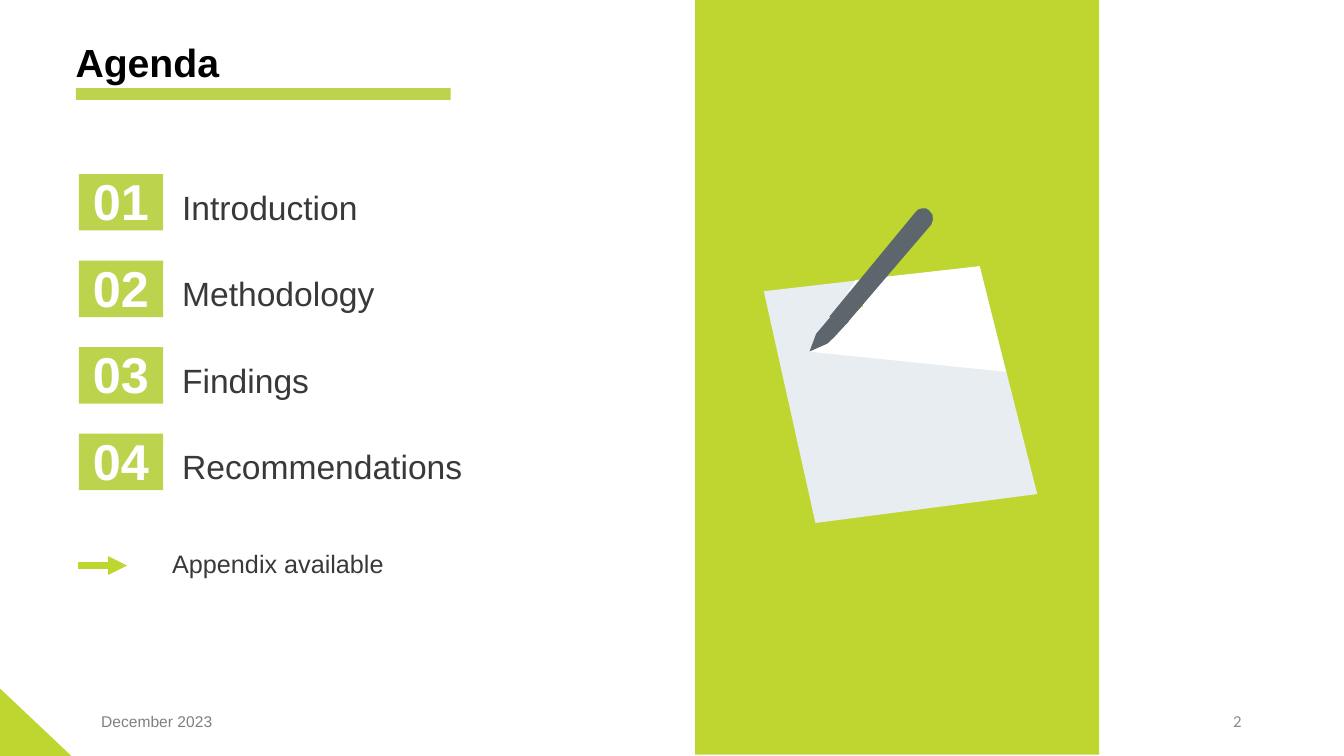
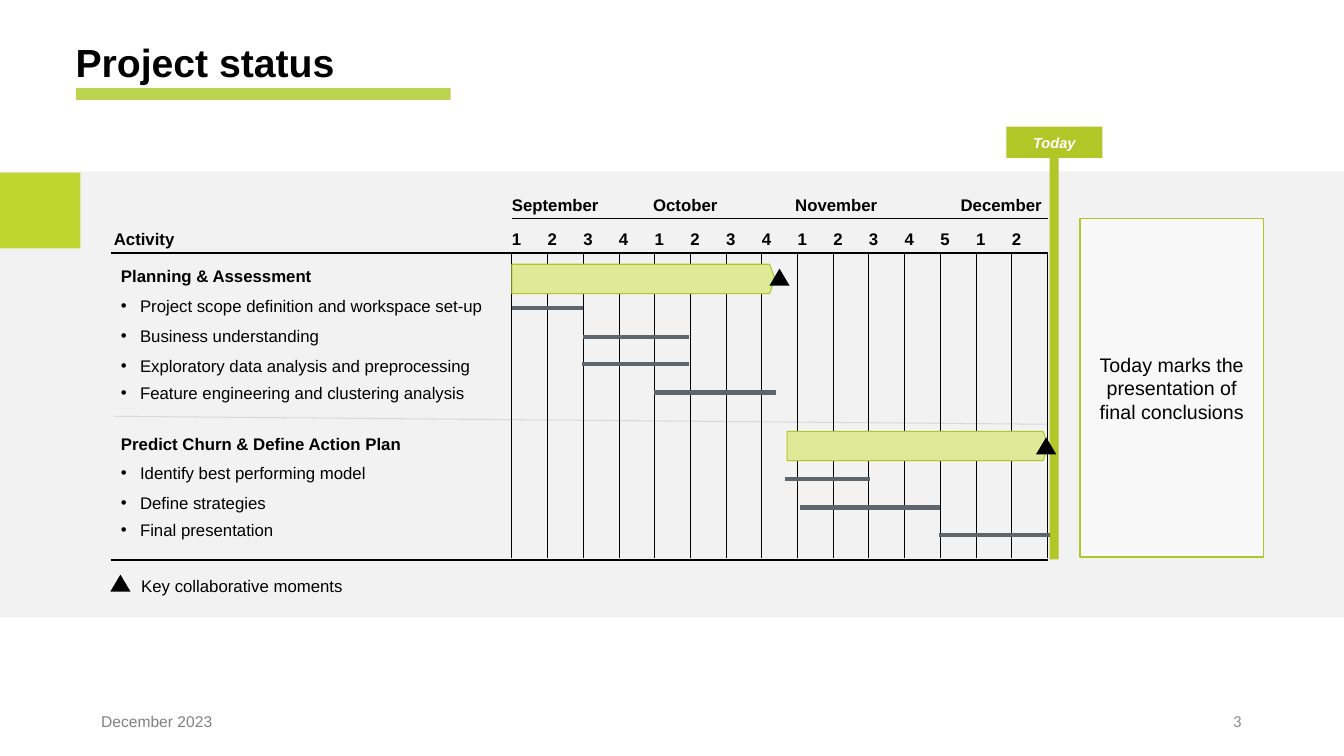
"""Build the agenda and project status slides."""
from dataclasses import dataclass
from typing import NamedTuple, Optional

from lxml import etree
from pptx import Presentation
from pptx.dml.color import RGBColor
from pptx.enum.shapes import MSO_CONNECTOR, MSO_SHAPE
from pptx.enum.text import MSO_ANCHOR, MSO_AUTO_SIZE, PP_ALIGN
from pptx.oxml.ns import qn
from pptx.util import Cm, Pt

WHITE = RGBColor(0xFF, 0xFF, 0xFF)
BLACK = RGBColor(0x00, 0x00, 0x00)
LIME = RGBColor(0xBE, 0xD6, 0x2F)
LEAF = RGBColor(0xBB, 0xD3, 0x4D)
MOSS = RGBColor(0xB0, 0xC7, 0x27)
PALE = RGBColor(0xDE, 0xEA, 0x97)
DEEP = RGBColor(0x76, 0x86, 0x14)
BRIGHT = RGBColor(0xC7, 0xE3, 0x22)
INK = RGBColor(0x3B, 0x38, 0x38)
SLATE = RGBColor(0x5C, 0x66, 0x6C)
PAPER = RGBColor(0xE7, 0xED, 0xF0)
BAND = RGBColor(0xF2, 0xF2, 0xF2)
RULE = RGBColor(0xD9, 0xD9, 0xD9)
GREY = RGBColor(0x80, 0x80, 0x80)
FAINT = RGBColor(0x8C, 0x8C, 0x8C)

RECT = MSO_SHAPE.RECTANGLE
CORNER = MSO_SHAPE.RIGHT_TRIANGLE
PLATE = MSO_SHAPE.PENTAGON
PEAK = MSO_SHAPE.FLOWCHART_EXTRACT
STRAIGHT = MSO_CONNECTOR.STRAIGHT
TOP, MIDDLE = MSO_ANCHOR.TOP, MSO_ANCHOR.MIDDLE
LEFT, CENTER, RIGHT = PP_ALIGN.LEFT, PP_ALIGN.CENTER, PP_ALIGN.RIGHT
FIXED = MSO_AUTO_SIZE.NONE

GRID_LEFT, WEEK, WEEKS = 12.9, 0.9, 15
GRID_TOP, GRID_END = 6.38, 14.05
GRID_RIGHT = GRID_LEFT + WEEK * WEEKS


class Box(NamedTuple):
    """Place and size in centimetres."""
    left: float
    top: float
    wide: float
    high: float


@dataclass(frozen=True)
class Look:
    """Style of one run of text and its box."""
    size: float = 12
    color: RGBColor = BLACK
    bold: bool = False
    slant: bool = False
    font: str = "Arial"
    align: PP_ALIGN = LEFT
    anchor: MSO_ANCHOR = TOP
    inset: Optional[float] = 0


@dataclass(frozen=True)
class Patch:
    """A filled outline of straight edges."""
    color: Optional[RGBColor]
    points: tuple


@dataclass(frozen=True)
class Month:
    """A month with its heading place and number of weeks."""
    name: str
    left: float
    weeks: int


@dataclass(frozen=True)
class Task:
    """A listed task and its bar."""
    name: str
    top: float
    start: float
    end: float
    level: float


@dataclass(frozen=True)
class Phase:
    """A project phase with its plate, key moment and tasks."""
    name: str
    top: float
    plate: Box
    mark: tuple
    tasks: tuple


PLAIN = Look()
BOLD = Look(bold=True)
HEAD = Look(bold=True, anchor=MIDDLE)
TITLE = Look(28, bold=True, anchor=MIDDLE, inset=None)
DATE = Look(11.1, GREY, anchor=MIDDLE, inset=None)
PAGE = Look(12, FAINT, font="Calibri", align=RIGHT, anchor=MIDDLE, inset=None)
COUNT = Look(36, WHITE, bold=True, align=CENTER, anchor=MIDDLE)
TOPIC = Look(24, INK, anchor=MIDDLE)
ASIDE = Look(18, INK, inset=None)
FLAG = Look(10.5, WHITE, True, True, align=CENTER, anchor=MIDDLE, inset=None)
NOTE = Look(14, align=CENTER, anchor=MIDDLE, inset=None)

TOPICS = ("Introduction", "Methodology", "Findings", "Recommendations")

SKETCH = (
    Patch(PAPER, ((19.25, 7.34), (24.69, 6.71), (26.14, 12.45), (20.55, 13.18))),
    Patch(WHITE, ((20.37, 8.86), (25.35, 9.37), (24.69, 6.71), (21.56, 7.06))),
    Patch(PAPER, ((21.74, 7.7), (21.31, 8.05), (21.03, 8.03), (20.83, 7.9),
                  (21.41, 7.34), (21.67, 7.62))),
    Patch(None, ((21.74, 7.7), (21.31, 8.05), (21.03, 8.03), (21.06, 7.95),
                 (21.67, 7.62))),
    Patch(SLATE, ((20.4, 8.86), (20.57, 8.41), (20.96, 7.95), (21.03, 7.98),
                  (21.39, 8.1), (21.01, 8.51), (20.85, 8.66))),
    Patch(SLATE, ((20.9, 7.98), (23.06, 5.36), (23.14, 5.28), (23.24, 5.25),
                  (23.34, 5.25), (23.42, 5.31), (23.5, 5.41), (23.51, 5.54),
                  (23.47, 5.66), (21.34, 8.15))),
)

MONTHS = (
    Month("September", 12.9, 4),
    Month("October", 16.46, 4),
    Month("November", 20.04, 5),
    Month("December", 24.21, 2),
)

PHASES = (
    Phase("Planning & Assessment", 6.7, Box(12.9, 6.66, 6.63, 0.74), (19.39, 6.77), (
        Task("Project scope definition and workspace set-up", 7.45, 12.9, 14.68, 7.77),
        Task("Business understanding", 8.2, 14.68, 17.37, 8.49),
        Task("Exploratory data analysis and preprocessing", 8.97, 14.67, 17.37, 9.17),
        Task("Feature engineering and clustering analysis", 9.64, 16.48, 19.56, 9.89),
    )),
    Phase("Predict Churn & Define Action Plan", 10.92, Box(19.84, 10.87, 6.58, 0.74),
          (26.11, 11.02), (
        Task("Identify best performing model", 11.66, 19.79, 21.92, 12.07),
        Task("Define strategies", 12.41, 20.17, 23.7, 12.79),
        Task("Final presentation", 13.1, 23.67, 26.47, 13.49),
    )),
)


def area(box: tuple) -> list:
    """Turn a box or point into lengths."""
    return [Cm(side) for side in box]


def write(shape, words: str, look: Look, bullet: bool = False):
    """Put one styled run into a shape."""
    frame = shape.text_frame
    frame.word_wrap = True
    frame.auto_size = FIXED
    frame.vertical_anchor = look.anchor
    if look.inset is not None:
        frame.margin_left = frame.margin_right = Cm(look.inset)
        frame.margin_top = frame.margin_bottom = Cm(look.inset)
    para = frame.paragraphs[0]
    para.alignment = look.align
    if bullet:
        props = para._p.get_or_add_pPr()
        props.set("marL", str(Cm(0.48)))
        props.set("indent", str(Cm(-0.48)))
        etree.SubElement(props, qn("a:buFont")).set("typeface", look.font)
        etree.SubElement(props, qn("a:buChar")).set("char", "•")
    run = para.add_run()
    run.text = words
    font = run.font
    font.name, font.size = look.font, Pt(look.size)
    font.bold, font.italic = look.bold, look.slant
    font.color.rgb = look.color
    return para


def label(slide, box: Box, words: str, look: Look, bullet: bool = False) -> None:
    """Add a text box."""
    write(slide.shapes.add_textbox(*area(box)), words, look, bullet)


def paint(shape, color: RGBColor, edge: Optional[RGBColor] = None,
          width: float = 0.75) -> None:
    """Give a shape its fill and line, with no shadow."""
    shape.shadow.inherit = False
    shape.fill.solid()
    shape.fill.fore_color.rgb = color
    if edge is None:
        shape.line.fill.background()
    else:
        shape.line.color.rgb = edge
        shape.line.width = Pt(width)


def block(slide, kind: MSO_SHAPE, box: Box, color: RGBColor,
          edge: Optional[RGBColor] = None, width: float = 0.75):
    """Add a preset shape."""
    shape = slide.shapes.add_shape(kind, *area(box))
    paint(shape, color, edge, width)
    return shape


def stroke(slide, start: tuple, end: tuple, color: RGBColor = BLACK,
           width: float = 0.75, arrow: bool = False) -> None:
    """Add a straight line, with an arrowhead if asked."""
    line = slide.shapes.add_connector(STRAIGHT, *area(start + end))
    line.line.color.rgb = color
    line.line.width = Pt(width)
    if arrow:
        tip = etree.SubElement(line.line._get_or_add_ln(), qn("a:tailEnd"))
        tip.set("type", "triangle")
    etree.SubElement(line._element.spPr, qn("a:effectLst"))


def trace(slide, patch: Patch) -> None:
    """Draw a patch; one with no colour gets the green shade."""
    first, *rest = [area(point) for point in patch.points]
    pen = slide.shapes.build_freeform(*first)
    pen.add_line_segments(rest, close=True)
    shape = pen.convert_to_shape()
    paint(shape, patch.color or DEEP)
    if patch.color is None:
        shape.fill.gradient()
        shape.fill.gradient_angle = 45
        for stop, color in zip(shape.fill.gradient_stops, (DEEP, BRIGHT)):
            stop.color.rgb = color


def start(deck, title: str, page: int):
    """Add a slide with the shared title, rule and footer."""
    slide = deck.slides.add_slide(deck.slide_layouts[5])
    head = slide.shapes.title
    head.left, head.top, head.width, head.height = area(Box(1.65, 0.43, 30.15, 2.41))
    write(head, title, TITLE).line_spacing = 0.9
    block(slide, RECT, Box(1.91, 2.22, 9.45, 0.3), LEAF)
    label(slide, Box(2.3, 17.67, 3.6, 1.02), "December 2023", DATE)
    label(slide, Box(23.92, 17.65, 7.62, 1.02), str(page), PAGE)
    return slide


def agenda(deck) -> None:
    """Build the agenda slide."""
    slide = start(deck, "Agenda", 2)
    block(slide, RECT, Box(17.52, 0, 10.18, 19.02), LIME)
    block(slide, CORNER, Box(0, 17.35, 1.8, 1.7), LIME)
    for patch in SKETCH:
        trace(slide, patch)
    for row, topic in enumerate(TOPICS):
        top = 4.39 + 2.18 * row
        tile = block(slide, RECT, Box(1.99, top, 2.12, 1.42), LEAF)
        write(tile, f"{row + 1:02}", COUNT)
        tile.text_frame.margin_bottom = Cm(0.1)
        label(slide, Box(4.59, top + 0.11, 10, 1.43), topic, TOPIC)
    label(slide, Box(4.09, 13.69, 9.42, 1.02), "Appendix available", ASIDE)
    stroke(slide, (1.97, 14.25), (3.2, 14.25), LIME, 4.5, arrow=True)


def mark(slide, left: float, top: float) -> None:
    """Add the sign of a key moment."""
    block(slide, PEAK, Box(left, top, 0.51, 0.43), BLACK)


def grid(slide) -> None:
    """Draw the months, weeks and rules."""
    label(slide, Box(2.87, 5.77, 3, 0.51), "Activity", BOLD)
    column = 0
    for month in MONTHS:
        label(slide, Box(month.left, 4.83, 2.69, 0.66), month.name, HEAD)
        for week in range(month.weeks):
            left = GRID_LEFT + WEEK * column
            label(slide, Box(left, 5.67, WEEK, 0.69), str(week + 1), HEAD)
            column += 1
    stroke(slide, (GRID_LEFT, 5.51), (GRID_RIGHT, 5.51))
    stroke(slide, (2.87, 10.49), (GRID_RIGHT, 10.69), RULE)
    for level in (GRID_TOP, 14.11):
        stroke(slide, (2.79, level), (GRID_RIGHT, level), width=1.5)
    for column in range(WEEKS + 1):
        left = GRID_LEFT + WEEK * column
        stroke(slide, (left, GRID_TOP), (left, GRID_END))


def status(deck) -> None:
    """Build the project status slide."""
    slide = start(deck, "Project status", 3)
    block(slide, RECT, Box(0, 4.32, 33.87, 11.24), BAND)
    block(slide, RECT, Box(0, 4.35, 2.03, 1.91), LIME)
    grid(slide)
    block(slide, RECT, Box(26.45, 3.89, 0.23, 10.21), MOSS)
    write(block(slide, RECT, Box(25.36, 3.19, 2.42, 0.79), MOSS), "Today", FLAG)
    for phase in PHASES:
        label(slide, Box(3.05, phase.top, 9.6, 0.51), phase.name, BOLD)
        plate = block(slide, PLATE, phase.plate, PALE, MOSS)
        plate.adjustments[0] = 0.18
        mark(slide, *phase.mark)
        for task in phase.tasks:
            label(slide, Box(3.05, task.top, 9.6, 0.55), task.name, PLAIN, bullet=True)
            stroke(slide, (task.start, task.level), (task.end, task.level), SLATE, 3)
    mark(slide, 2.78, 14.48)
    label(slide, Box(3.56, 14.5, 9.09, 0.58), "Key collaborative moments", PLAIN)
    note = block(slide, RECT, Box(27.22, 5.51, 4.62, 8.53), WHITE, MOSS, 1)
    tint = note._element.spPr.find(qn("a:solidFill"))[0]
    etree.SubElement(tint, qn("a:alpha")).set("val", "50000")
    write(note, "Today marks the presentation of final conclusions", NOTE)


def main() -> None:
    """Build and save the deck."""
    deck = Presentation()
    deck.slide_width, deck.slide_height = Cm(33.87), Cm(19.05)
    agenda(deck)
    status(deck)
    deck.save("out.pptx")


if __name__ == "__main__":
    main()
